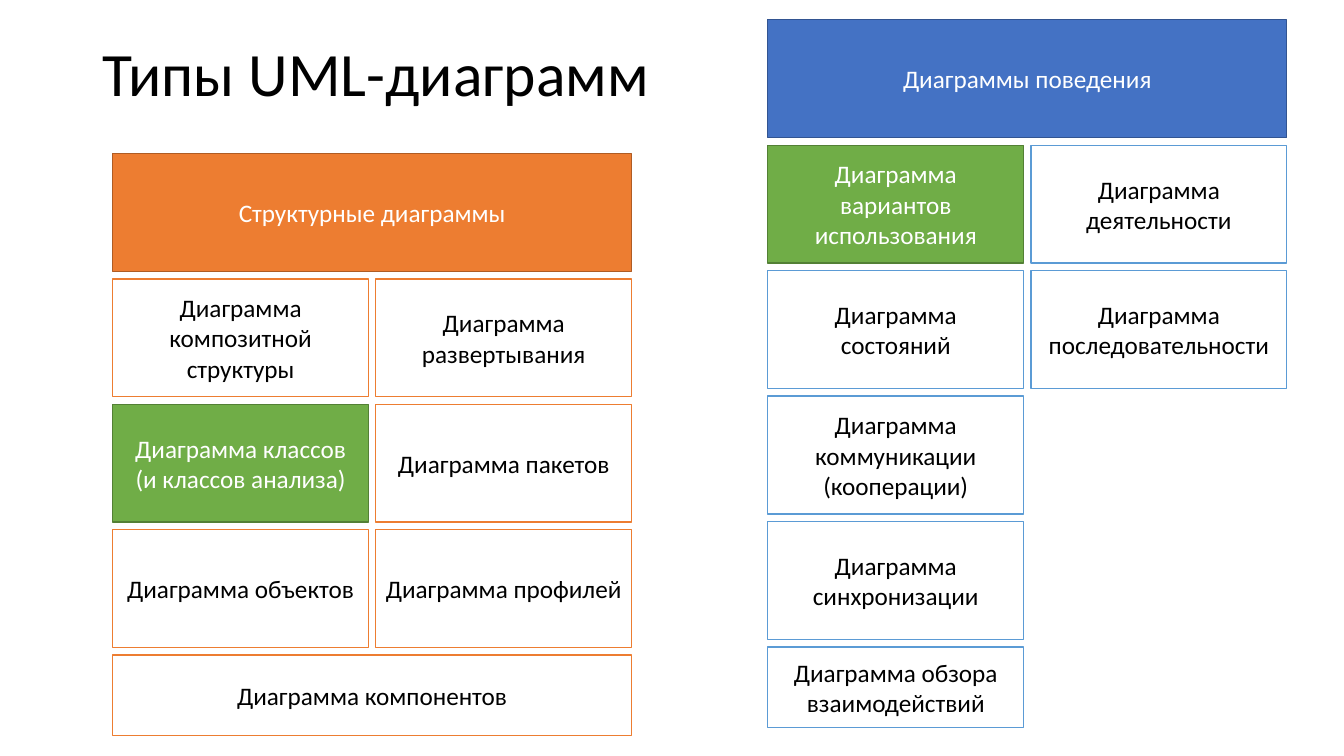
from pptx import Presentation
from pptx.dml.color import RGBColor
from pptx.enum.shapes import MSO_SHAPE
from pptx.enum.text import MSO_ANCHOR, PP_ALIGN
from pptx.util import Cm, Pt

COLORS = {
    "black": "000000",
    "white": "FFFFFF",
    "structure": "ED7D31",
    "structure_edge": "AF5C24",
    "behavior": "4472C4",
    "behavior_edge": "325491",
    "behavior_member": "5B9BD5",
    "highlight": "70AD47",
    "highlight_edge": "538035",
}
CELL_WIDTH, CELL_HEIGHT, LAST_HEIGHT = 6.45, 2.97, 2.03
COLUMN_STEP, ROW_STEP = 6.63, 3.16
FULL_WIDTH = COLUMN_STEP + CELL_WIDTH

STRUCTURE_ROWS = [
    ["Диаграмма композитной структуры", "Диаграмма развертывания"],
    ["Диаграмма классов (и классов анализа)", "Диаграмма пакетов"],
    ["Диаграмма объектов", "Диаграмма профилей"],
    ["Диаграмма компонентов"],
]
BEHAVIOR_ROWS = [
    ["Диаграмма вариантов использования", "Диаграмма деятельности"],
    ["Диаграмма состояний", "Диаграмма последовательности"],
    ["Диаграмма коммуникации (кооперации)"],
    ["Диаграмма синхронизации"],
    ["Диаграмма обзора взаимодействий"],
]
HIGHLIGHTED = {
    "Диаграмма классов (и классов анализа)",
    "Диаграмма вариантов использования",
}


def color(name):
    return RGBColor.from_string(COLORS[name])


def write_text(frame, text, size=18, ink="black", align=PP_ALIGN.CENTER, spacing=1.0):
    frame.word_wrap = True
    frame.vertical_anchor = MSO_ANCHOR.MIDDLE
    paragraph = frame.paragraphs[0]
    paragraph.alignment = align
    paragraph.line_spacing = spacing
    run = paragraph.add_run()
    run.text = text
    run.font.name = "Calibri"
    run.font.size = Pt(size)
    run.font.color.rgb = color(ink)


def add_title(slide, text):
    title = slide.shapes.add_textbox(Cm(2.34), Cm(0.08), Cm(29.21), Cm(3.68))
    write_text(title.text_frame, text, size=44, align=PP_ALIGN.LEFT, spacing=0.9)


def add_box(slide, text, left, top, width, height, fill, edge, ink):
    box = slide.shapes.add_shape(
        MSO_SHAPE.RECTANGLE, Cm(left), Cm(top), Cm(width), Cm(height)
    )
    box.shadow.inherit = False
    box.fill.solid()
    box.fill.fore_color.rgb = color(fill)
    box.line.color.rgb = color(edge)
    box.line.width = Pt(1)
    write_text(box.text_frame, text, ink=ink)


def add_group(slide, heading, rows, left, top, theme, member_edge, last_width):
    add_box(slide, heading, left, top, FULL_WIDTH, CELL_HEIGHT,
            theme, f"{theme}_edge", "white")
    for row, names in enumerate(rows, start=1):
        is_last = row == len(rows)
        width = last_width if is_last else CELL_WIDTH
        height = LAST_HEIGHT if is_last else CELL_HEIGHT
        for column, name in enumerate(names):
            if name in HIGHLIGHTED:
                style = ("highlight", "highlight_edge", "white")
            else:
                style = ("white", member_edge, "black")
            add_box(slide, name, left + column * COLUMN_STEP, top + row * ROW_STEP,
                    width, height, *style)


def main():
    presentation = Presentation()
    presentation.slide_width = Cm(33.87)
    presentation.slide_height = Cm(19.05)
    slide = presentation.slides.add_slide(presentation.slide_layouts[6])
    add_title(slide, "Типы UML-диаграмм")
    add_group(slide, "Структурные диаграммы", STRUCTURE_ROWS, 2.84, 3.87,
              "structure", "structure", FULL_WIDTH)
    add_group(slide, "Диаграммы поведения", BEHAVIOR_ROWS, 19.35, 0.5,
              "behavior", "behavior_member", CELL_WIDTH)
    presentation.save("out.pptx")


if __name__ == "__main__":
    main()
